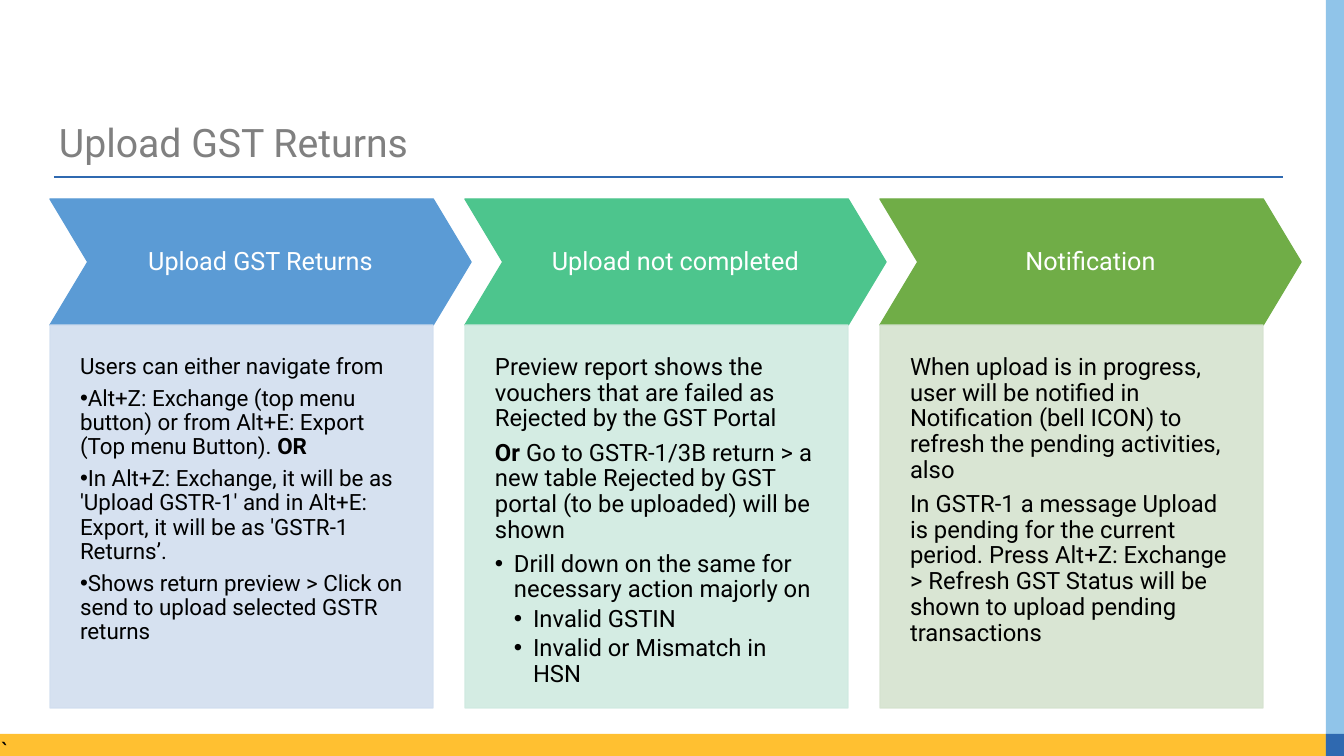
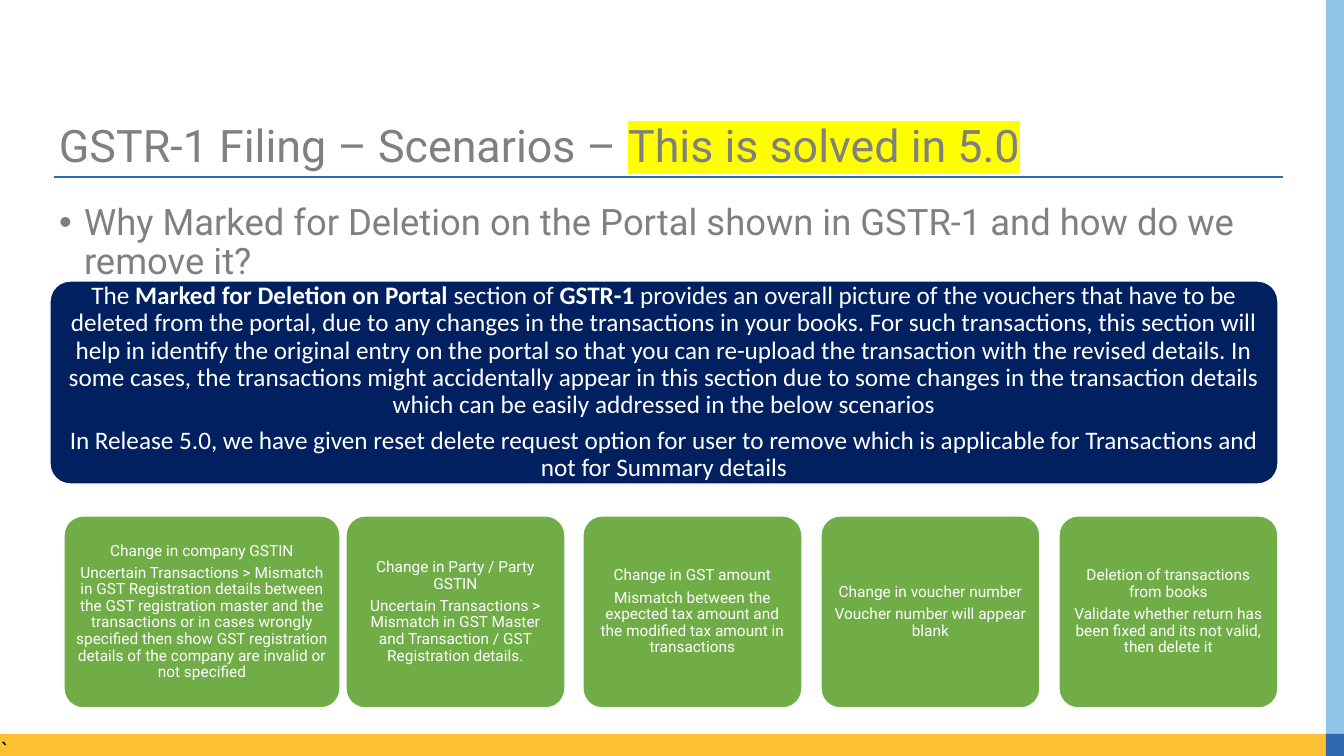
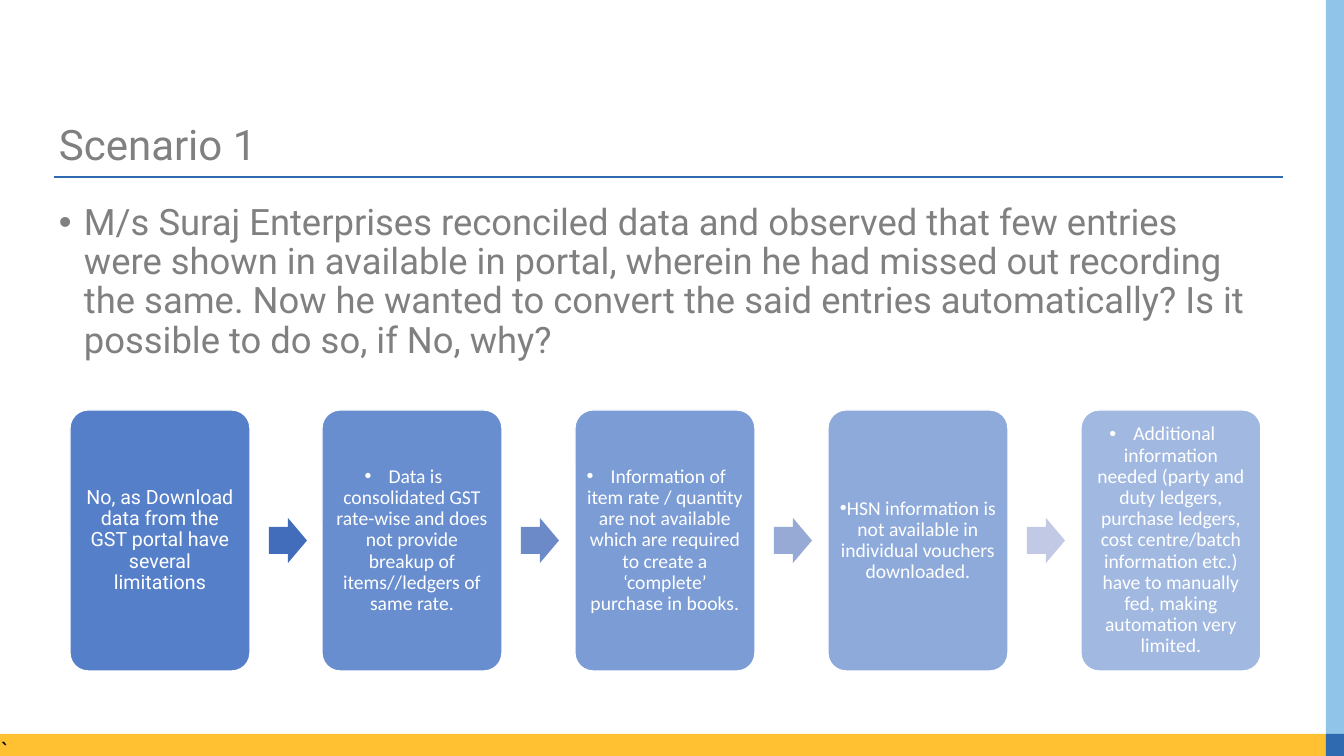
from collections import namedtuple

from lxml.etree import SubElement
from pptx import Presentation
from pptx.dml.color import RGBColor
from pptx.enum.shapes import MSO_CONNECTOR, MSO_SHAPE
from pptx.enum.text import MSO_ANCHOR, PP_ALIGN
from pptx.oxml import parse_xml
from pptx.oxml.ns import nsdecls, qn
from pptx.util import Pt

PX = 914400 / 100.8
WIDTH, HEIGHT = 1344, 756

WHITE = RGBColor(0xFF, 0xFF, 0xFF)
BLACK = RGBColor(0x00, 0x00, 0x00)
GRAY = RGBColor(0x80, 0x80, 0x80)
AMBER = RGBColor(0xFF, 0xC0, 0x31)
SKY = RGBColor(0x90, 0xC4, 0xE9)
BLUE = RGBColor(0x2F, 0x69, 0xB0)
NAVY = RGBColor(0x00, 0x20, 0x60)
GREEN = RGBColor(0x70, 0xAD, 0x47)
STEP_BLUE = RGBColor(0x44, 0x72, 0xC4)
STAGE_BLUE = RGBColor(0x5B, 0x9B, 0xD5)
STAGE_TEAL = RGBColor(0x4D, 0xC5, 0x8D)
PALE_BLUE = RGBColor(0xD2, 0xDE, 0xEF)
PALE_TEAL = RGBColor(0xD0, 0xEA, 0xE1)
PALE_GREEN = RGBColor(0xD5, 0xE3, 0xCF)
ARROW_BLUES = [RGBColor(0x41, 0x6D, 0xBB), RGBColor(0x6C, 0x8A, 0xC8),
               RGBColor(0x97, 0xA9, 0xD5), RGBColor(0xC1, 0xC9, 0xE4)]

# Words between asterisks are bold; after is a share of the text size.
Para = namedtuple("Para", "text bullet margin indent after",
                  defaults=(False, 0, 0, 0.35))


def px(length):
    return round(length * PX)


def spread(first, last, count):
    return [first + (last - first) * i // (count - 1) for i in range(count)]


def assign(target, values):
    for name, value in values.items():
        setattr(target, name, value)


def paint(fill, color, opacity=100):
    fill.solid()
    fill.fore_color.rgb = color
    if opacity < 100:
        color_node = fill._xPr.find(qn("a:solidFill"))[0]
        SubElement(color_node, qn("a:alpha"), val=str(opacity * 1000))


class Deck:
    """Holds the shared style and the slide being built."""

    def __init__(self):
        self.deck = Presentation()
        assign(self.deck, {"slide_width": px(WIDTH), "slide_height": px(HEIGHT)})
        self.page = None

    def new_page(self, title, size, highlighted=""):
        self.page = self.deck.slides.add_slide(self.deck.slide_layouts[6])
        rule = self.page.shapes.add_connector(
            MSO_CONNECTOR.STRAIGHT, px(54), px(177), px(1283), px(177))
        rule.line.width = Pt(0.82)
        paint(rule.line.fill, BLUE)
        SubElement(rule._element.spPr, qn("a:effectLst"))
        band = self.shape(MSO_SHAPE.RECTANGLE, (0, 734, 1336, 22), AMBER)
        self.fill_text(band, [Para("`")], 18, font="Calibri", color=BLACK,
                       inset=(0, 0, 0, 0), spacing=1)
        self.shape(MSO_SHAPE.RECTANGLE, (1326, 0, 18, 749), SKY)
        self.shape(MSO_SHAPE.RECTANGLE, (1326, 734, 18, 22), BLUE)
        box = self.text((49, 119, 1230, 50), [Para(title)], size)
        if highlighted:
            self.highlight(box.text_frame.paragraphs[0], highlighted, size)

    def highlight(self, para, text, size):
        span = self.span(para, text, size, "Roboto", GRAY)
        fill = span.font._element.find(qn("a:solidFill"))
        fill.addnext(parse_xml(f'<a:highlight {nsdecls("a")}>'
                               '<a:srgbClr val="FFFF00"/></a:highlight>'))

    def shape(self, kind, place, fill, opacity=100, edge=None, edge_opacity=100,
              adjust=None):
        shape = self.page.shapes.add_shape(kind, *map(px, place))
        shape.shadow.inherit = False
        if adjust is not None:
            shape.adjustments[0] = adjust
        paint(shape.fill, fill, opacity)
        if edge is None:
            shape.line.fill.background()
        else:
            shape.line.width = Pt(1)
            paint(shape.line.fill, edge, edge_opacity)
        return shape

    def card(self, place, fill, paras, size, inset, font="Roboto", opacity=100):
        box = self.shape(MSO_SHAPE.ROUNDED_RECTANGLE, place, fill, opacity,
                         edge=WHITE, adjust=0.1)
        self.fill_text(box, paras, size, font, WHITE, PP_ALIGN.CENTER,
                       MSO_ANCHOR.MIDDLE, (inset,) * 4)

    def text(self, place, paras, size):
        box = self.page.shapes.add_textbox(*map(px, place))
        self.fill_text(box, paras, size)
        return box

    def span(self, para, text, size, font, color, bold=False):
        span = para.add_run()
        span.text = text
        assign(span.font, {"size": Pt(size), "name": font, "bold": bold})
        span.font.color.rgb = color
        return span

    def fill_text(self, box, paras, size, font="Roboto", color=GRAY,
                  align=PP_ALIGN.LEFT, anchor=MSO_ANCHOR.TOP,
                  inset=(10, 5, 10, 5), spacing=0.9):
        """Fill a box with paragraphs; inset is left, top, right, bottom."""
        frame = box.text_frame
        sides = ("margin_left", "margin_top", "margin_right", "margin_bottom")
        assign(frame, {"word_wrap": True, "vertical_anchor": anchor})
        assign(frame, dict(zip(sides, map(px, inset))))
        for number, item in enumerate(paras):
            para = frame.add_paragraph() if number else frame.paragraphs[0]
            if item.bullet:
                props = para._p.get_or_add_pPr()
                props.set("marL", str(px(item.margin)))
                props.set("indent", str(px(item.indent)))
                SubElement(props, qn("a:buFont"), typeface="Arial")
                SubElement(props, qn("a:buChar"), char="•")
            assign(para, {"alignment": align, "line_spacing": spacing,
                          "space_after": Pt(round(size * item.after, 2))})
            for part, text in enumerate(item.text.split("*")):
                if text:
                    self.span(para, text, size, font, color, part % 2 == 1)


def upload_page(deck):
    deck.new_page("Upload GST Returns", 28)
    stages = [
        ("Upload GST Returns", STAGE_BLUE, PALE_BLUE, 16, [
            Para("Users can either navigate from"),
            Para("Alt+Z: Exchange (top menu button) or from Alt+E: Export "
                 "(Top menu Button). *OR*", True),
            Para("In Alt+Z: Exchange, it will be as 'Upload GSTR-1' and in "
                 "Alt+E: Export, it will be as 'GSTR-1 Returns’.", True),
            Para("Shows return preview > Click on send to upload selected "
                 "GSTR returns", True)]),
        ("Upload not completed", STAGE_TEAL, PALE_TEAL, 17, [
            Para("Preview report shows the vouchers that are failed as "
                 "Rejected by the GST Portal"),
            Para("*Or* Go to GSTR-1/3B return > a new table Rejected by GST "
                 "portal (to be uploaded) will be shown"),
            Para("Drill down on the same for necessary action majorly on",
                 True, 19, -19, 0.15),
            Para("Invalid GSTIN", True, 38, -19, 0.15),
            Para("Invalid or Mismatch in HSN", True, 38, -19, 0.15)]),
        ("Notification", GREEN, PALE_GREEN, 17, [
            Para("When upload is in progress, user will be notified in "
                 "Notification (bell ICON) to refresh the pending "
                 "activities, also"),
            Para("In GSTR-1 a message Upload is pending for the current "
                 "period. Press Alt+Z: Exchange > Refresh GST Status will be "
                 "shown to upload pending transactions")]),
    ]
    for left, stage in zip(spread(50, 880, 3), stages):
        heading, strong, pale, size, paras = stage
        chevron = deck.shape(MSO_SHAPE.CHEVRON, (left, 199, 421, 126), strong,
                             edge=strong, adjust=0.3)
        deck.fill_text(chevron, [Para(heading)], 18, color=WHITE,
                       align=PP_ALIGN.CENTER, anchor=MSO_ANCHOR.MIDDLE,
                       inset=(15,) * 4)
        panel = deck.shape(MSO_SHAPE.RECTANGLE, (left, 325, 383, 383), pale,
                           90, edge=pale, edge_opacity=90)
        deck.fill_text(panel, paras, size, color=BLACK, inset=(30, 30, 30, 60))


def filing_page(deck):
    deck.new_page("GSTR-1 Filing – Scenarios – ", 32, "This is solved in 5.0")
    deck.text((49, 199, 1244, 510), [
        Para("Why Marked for Deletion on the Portal shown in GSTR-1 and how "
             "do we remove it?", True, 25, -25)], 26)
    deck.card((50, 281, 1228, 203), NAVY, [
        Para("The *Marked for Deletion on Portal* section of *GSTR-1* provides "
             "an overall picture of the vouchers that have to be deleted from "
             "the portal, due to any changes in the transactions in your "
             "books. For such transactions, this section will help in "
             "identify the original entry on the portal so that you can "
             "re-upload the transaction with the revised details. In some "
             "cases, the transactions might accidentally appear in this "
             "section due to some changes in the transaction details which "
             "can be easily addressed in the below scenarios"),
        Para("In Release 5.0, we have given reset delete request option for "
             "user to remove which is applicable for Transactions and not for "
             "Summary details")], 18, 7, "Calibri")
    scenarios = [
        ("Change in company GSTIN",
         "Uncertain Transactions > Mismatch in GST Registration details "
         "between the GST registration master and the transactions or in "
         "cases wrongly specified then show GST registration details of the "
         "company are invalid or not specified"),
        ("Change in Party / Party GSTIN",
         "Uncertain Transactions > Mismatch in GST Master and Transaction / "
         "GST Registration details."),
        ("Change in GST amount",
         "Mismatch between the expected tax amount and the modified tax "
         "amount in transactions"),
        ("Change in voucher number", "Voucher number will appear blank"),
        ("Deletion of transactions from books",
         "Validate whether return has been fixed and its not valid, then "
         "delete it"),
    ]
    columns = [(64, 276)] + [(left, 219) for left in spread(346, 1059, 4)]
    for (left, width), texts in zip(columns, scenarios):
        deck.card((left, 516, width, 192), GREEN,
                  [Para(text) for text in texts], 11, 5)


def scenario_page(deck):
    deck.new_page("Scenario 1", 30)
    deck.text((49, 199, 1212, 510), [
        Para("M/s Suraj Enterprises reconciled data and observed that few "
             "entries were shown in available in portal, wherein he had "
             "missed out recording the same. Now he wanted to convert the "
             "said entries automatically? Is it possible to do so, if No, "
             "why?", True, 25, -25)], 26)
    reasons = [
        Para("No, as Download data from the GST portal have several "
             "limitations"),
        Para("Data is consolidated GST rate-wise and does not provide breakup "
             "of items//ledgers of same rate.", True, 0, -24),
        Para("Information of item rate / quantity are not available which are "
             "required to create a ‘complete’ purchase in books.",
             True, 0, -24),
        Para("HSN information is not available in individual vouchers "
             "downloaded.", True),
        Para("Additional information needed (party and duty ledgers, purchase "
             "ledgers, cost centre/batch information etc.) have to manually "
             "fed, making automation very limited.", True, 0, -24),
    ]
    lefts = spread(70, 1081, 5)
    for number, (left, reason) in enumerate(zip(lefts, reasons)):
        deck.card((left, 410, 180, 261), STEP_BLUE, [reason], 14, 6,
                  "Calibri" if number else "Roboto", 90 - 10 * number)
    for left, color in zip(lefts, ARROW_BLUES):
        deck.shape(MSO_SHAPE.RIGHT_ARROW, (left + 199, 518, 38, 45), color,
                   adjust=0.6)


def main():
    deck = Deck()
    for build in (upload_page, filing_page, scenario_page):
        build(deck)
    deck.deck.save("out.pptx")


if __name__ == "__main__":
    main()
